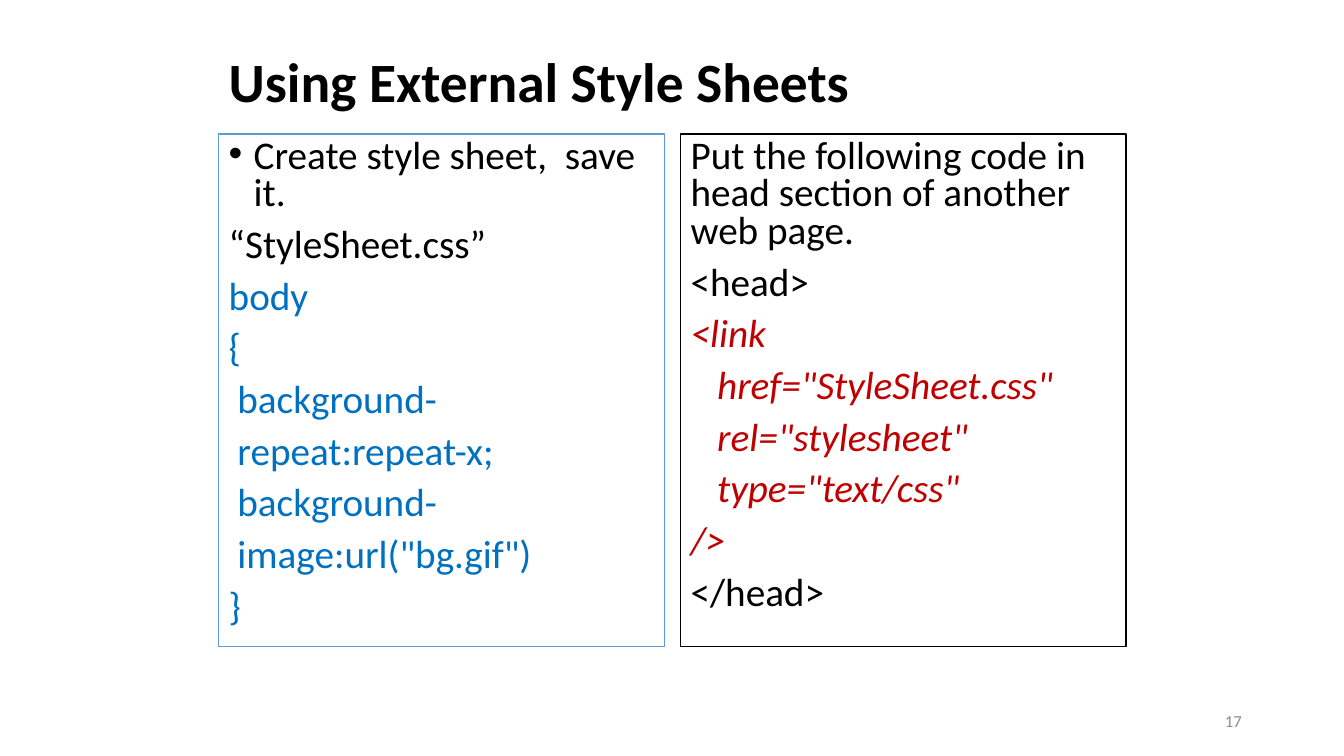
from lxml import etree
from pptx import Presentation, util as u
from pptx.dml.color import RGBColor
from pptx.enum import text
from pptx.oxml.ns import qn

BLACK, BLUE, RED, GREY = "000000", "0070C0", "C00000", "8C8C8C"
TOP, PANEL_W, PANEL_H = 3.38, 11.23, 12.91
LEFT, RIGHT = 5.51, 17.15
ONE_SPACE, THREE_SPACES = 0.22, 0.67

STYLE_SHEET = [
    ("Create style sheet,  save it.", dict(indent=0.63, bullet="•")),
    ("“StyleSheet.css”", {}),
    ("body", dict(color=BLUE)),
    ("{", dict(color=BLUE)),
    ("background-", dict(color=BLUE, indent=ONE_SPACE)),
    ("repeat:repeat-x;", dict(color=BLUE, indent=ONE_SPACE)),
    ("background-", dict(color=BLUE, indent=ONE_SPACE)),
    ('image:url("bg.gif")', dict(color=BLUE, indent=ONE_SPACE)),
    ("}", dict(color=BLUE)),
]
LINK = dict(color=RED, italic=True)
HEAD_SECTION = [
    ("Put the following code in head section of another web page.", {}),
    ("<head>", {}),
    ("<link", LINK),
    ('href="StyleSheet.css"', dict(LINK, indent=THREE_SPACES)),
    ('rel="stylesheet"', dict(LINK, indent=THREE_SPACES)),
    ('type="text/css"', dict(LINK, indent=THREE_SPACES)),
    ("/>", LINK),
    ("</head>", {}),
]


def rgb(value):
    return RGBColor.from_string(value)


def place(sp, x, y, w, h):
    sp.left, sp.top, sp.width, sp.height = (u.Cm(v) for v in (x, y, w, h))


def frame(sp, anchor):
    tf = sp.text_frame
    tf.word_wrap = True
    tf.auto_size = text.MSO_AUTO_SIZE.NONE
    tf.vertical_anchor = anchor
    return tf


def write(p, words, size=28, color=BLACK, bold=False, italic=False,
          align=text.PP_ALIGN.LEFT, spacing=0.8, before=10, indent=0, bullet=None):
    """Fill a paragraph; indent is in cm, and a bullet hangs inside it."""
    p.alignment, p.line_spacing, p.space_before = align, spacing, u.Pt(before)
    pPr = p._p.get_or_add_pPr()
    margin = u.Cm(indent)
    pPr.set("marL", str(margin))
    pPr.set("indent", str(-margin if bullet else 0))
    if bullet:
        etree.SubElement(pPr, qn("a:buFont"), typeface="Arial")
        etree.SubElement(pPr, qn("a:buChar"), char=bullet)
    else:
        etree.SubElement(pPr, qn("a:buNone"))
    r = p.add_run()
    r.text = words
    f = r.font
    f.name, f.size, f.bold, f.italic = "Calibri", u.Pt(size), bold, italic
    f.color.rgb = rgb(color)


def title(sp, x, y, w, h):
    place(sp, x, y, w, h)
    tf = frame(sp, text.MSO_ANCHOR.MIDDLE)
    write(tf.paragraphs[0], "Using External Style Sheets", size=39.6, bold=True,
          spacing=0.9, before=0)


def panel(sp, x, y, w, h, lines, border):
    place(sp, x, y, w, h)
    sp.fill.solid()
    sp.fill.fore_color.rgb = rgb("FFFFFF")
    sp.line.color.rgb = rgb(border)
    sp.line.width = u.Pt(1)
    tf = frame(sp, text.MSO_ANCHOR.TOP)
    for i, (words, style) in enumerate(lines):
        write(tf.add_paragraph() if i else tf.paragraphs[0], words, **style)


def page_number(s, x, y, w, h):
    sp = s.shapes.add_textbox(*(u.Cm(v) for v in (x, y, w, h)))
    tf = frame(sp, text.MSO_ANCHOR.MIDDLE)
    write(tf.paragraphs[0], "17", size=12, color=GREY, spacing=1, before=0,
          align=text.PP_ALIGN.RIGHT)


def main():
    prs = Presentation()
    prs.slide_width, prs.slide_height = u.Cm(33.87), u.Cm(19.05)
    s = prs.slides.add_slide(prs.slide_layouts[3])
    heading, left, right = s.placeholders
    title(heading, LEFT, 1.27, 22.86, 1.7)
    panel(left, LEFT, TOP, PANEL_W, PANEL_H, STYLE_SHEET, "5B9BD5")
    panel(right, RIGHT, TOP, PANEL_W, PANEL_H, HEAD_SECTION, BLACK)
    page_number(s, 23.93, 17.65, 7.62, 1.02)
    prs.save("out.pptx")


if __name__ == "__main__":
    main()
